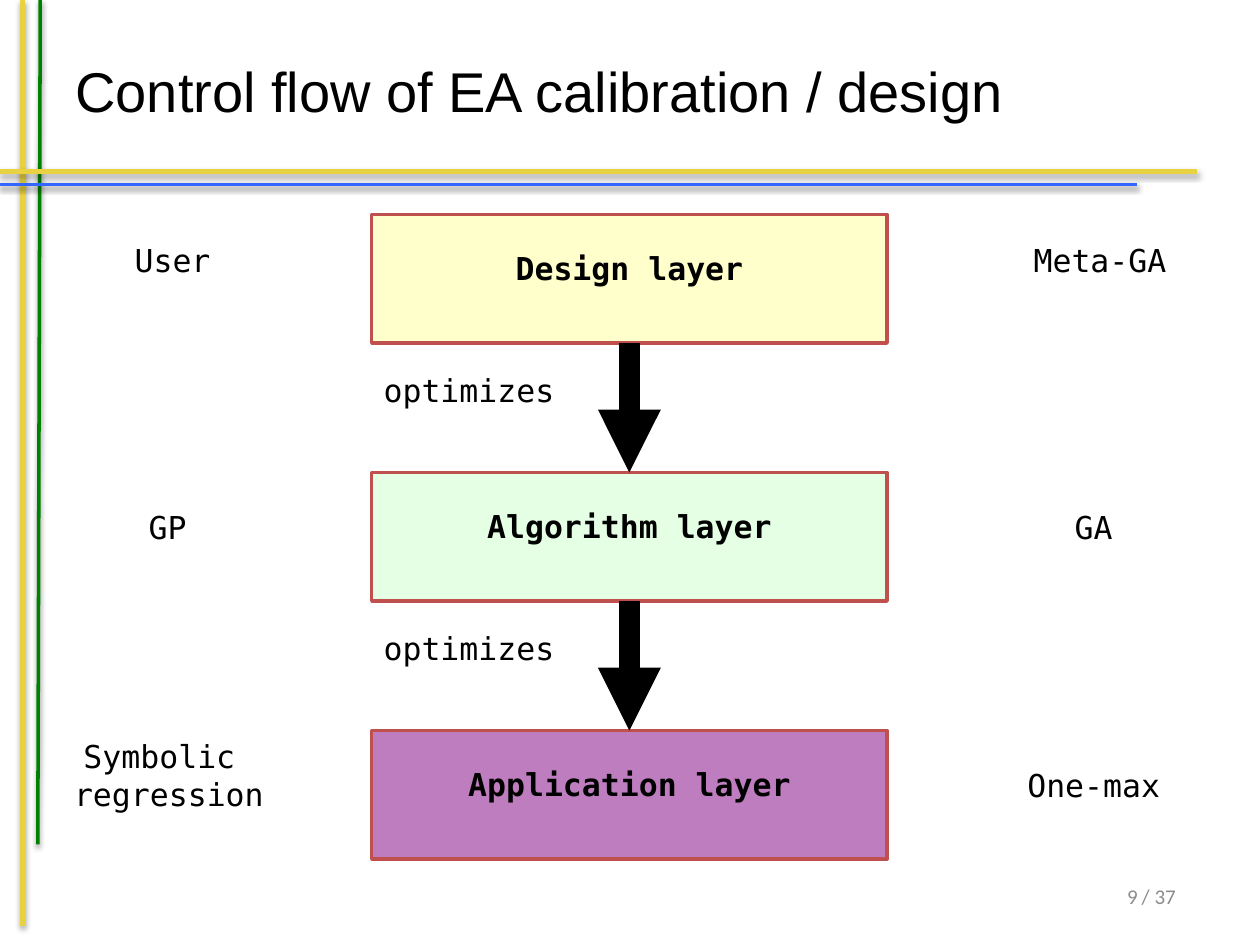
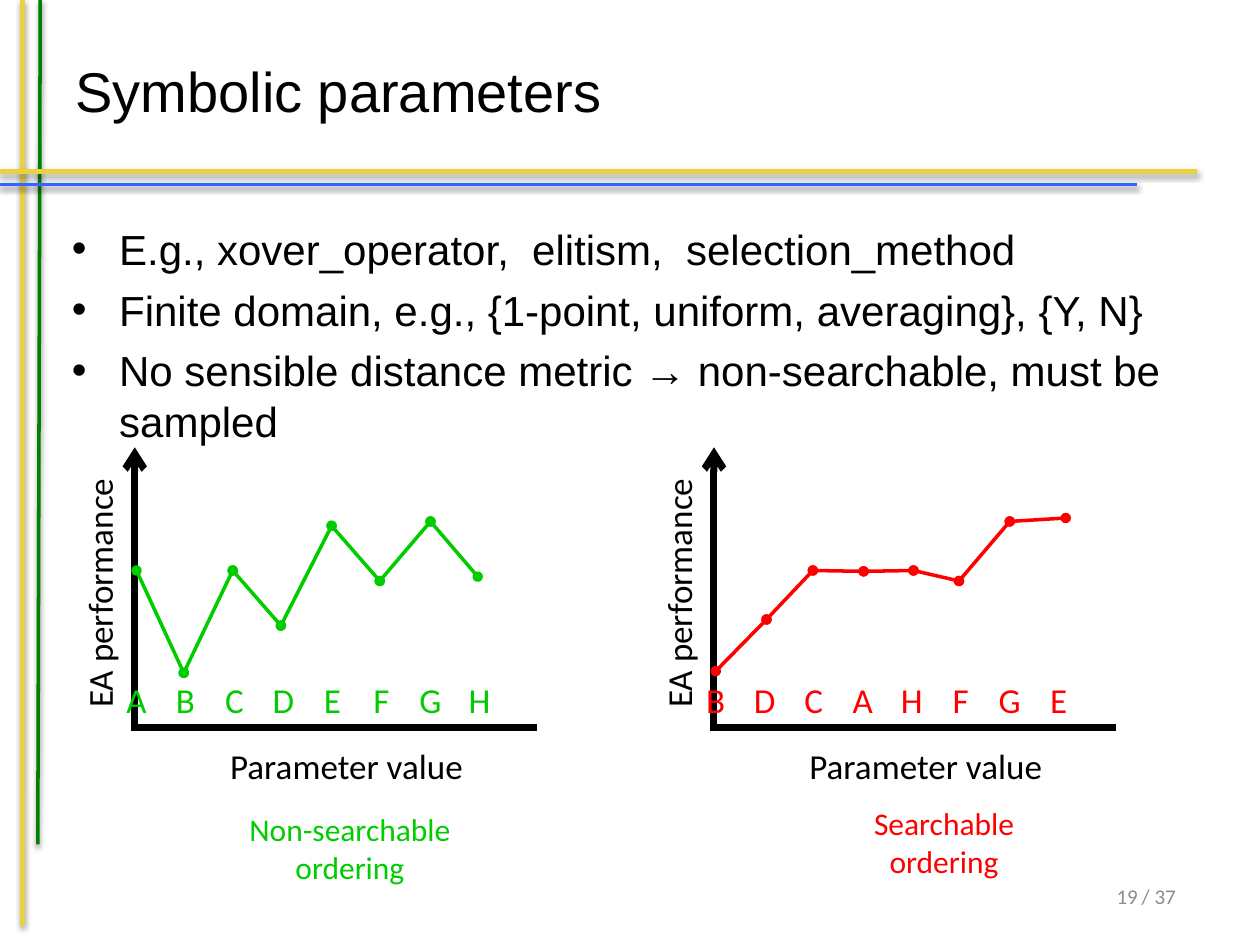
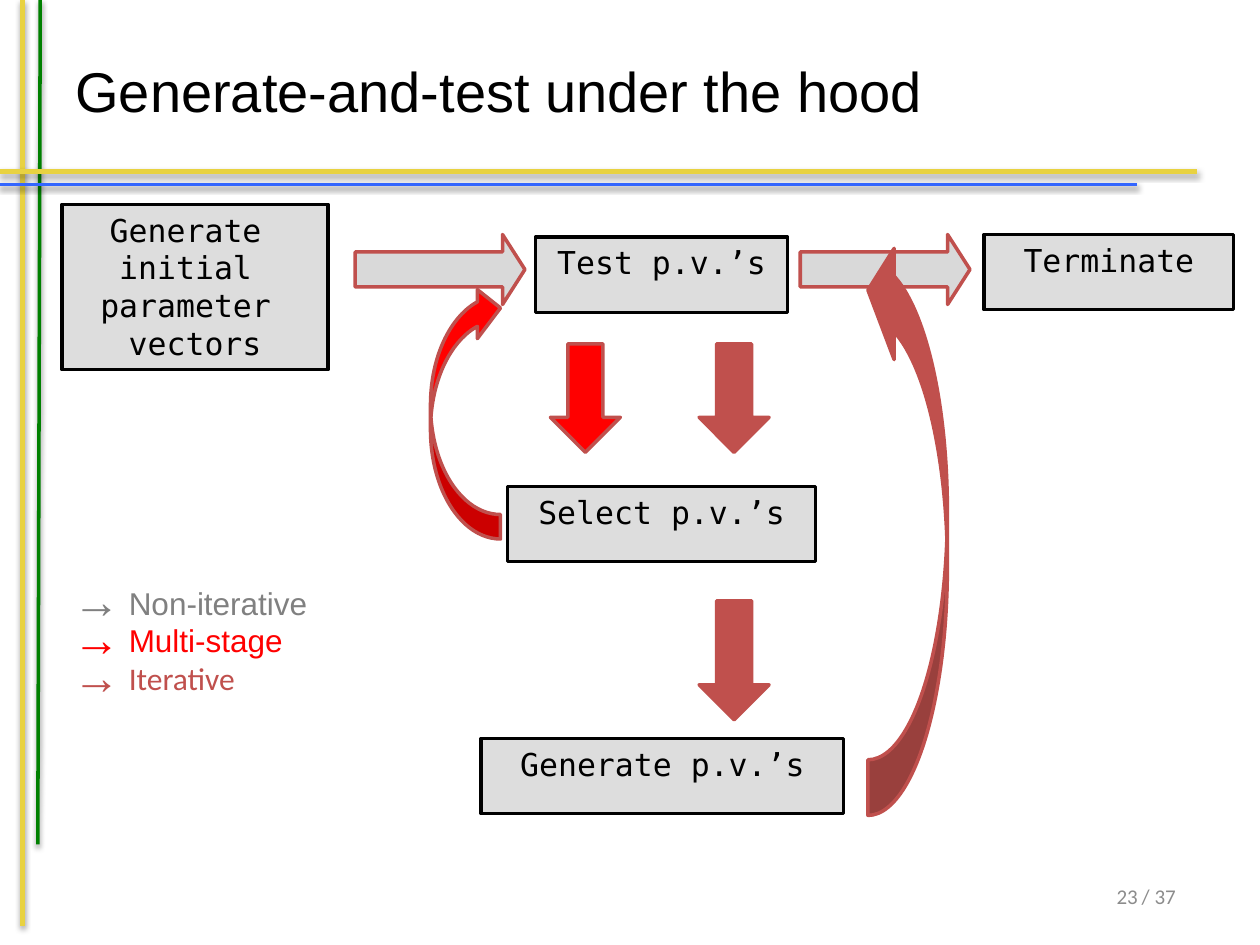
"""Build three slides on tuning evolutionary algorithms."""
from itertools import pairwise

from pptx import Presentation
from pptx.dml.color import RGBColor
from pptx.enum.shapes import MSO_CONNECTOR, MSO_SHAPE
from pptx.enum.text import MSO_ANCHOR, PP_ALIGN
from pptx.oxml.ns import qn
from pptx.util import Pt
from lxml import etree

STRAIGHT = MSO_CONNECTOR.STRAIGHT
RECTANGLE, DOWN, RIGHTWARD, CURVED = (
    MSO_SHAPE.RECTANGLE, MSO_SHAPE.DOWN_ARROW, MSO_SHAPE.RIGHT_ARROW, MSO_SHAPE.CURVED_RIGHT_ARROW)
TOP, MIDDLE = MSO_ANCHOR.TOP, MSO_ANCHOR.MIDDLE
LEFT, CENTER, RIGHT = PP_ALIGN.LEFT, PP_ALIGN.CENTER, PP_ALIGN.RIGHT
SIDE_TOP, SIDE_BOTTOM = 0, 2

SANS, BODY, MONO = "Arial", "Calibri", "DejaVu Sans Mono"
COLORS = {
    "black": "000000", "gold": "E8D241", "forest": "008000", "blue": "3366FF",
    "number": "8C8C8C", "brick": "C0504D", "purple": "800080", "mint": "CCFFCC",
    "cream": "FFFF99", "green": "00CC00", "red": "FF0000", "box": "DDDDDD",
    "pale": "D9D9D9", "grey": "808080",
}

SLIDE_COUNT = 37
BANDS = [
    ((13, 0), (13, 529), "gold", 3),
    ((23, 0), (21.6, 482.5), "forest", 2),
    ((0, 98), (684, 98), "gold", 3),
    ((0, 105.5), (650, 105.5), "blue", 2),
]

LAYERS = [("Design layer", "cream", 50), ("Algorithm layer", "mint", 50),
          ("Application layer", "purple", 51)]
LAYER_LEFT, LAYER_TOP, LAYER_WIDTH, LAYER_HEIGHT, LAYER_STEP = 212.4, 122.5, 294.5, 73.5, 147.5
SIDE_LABELS = [
    (["User"], 98.6, 134), (["GP"], 95.8, 287), (["Symbolic ", "regression"], 96.5, 417.5),
    (["Meta-GA"], 628.6, 134), (["GA"], 625, 287), (["One-max"], 625, 434),
]

PARAMETER_POINTS = [
    "E.g., xover_operator,  elitism,  selection_method",
    "Finite domain, e.g., {1-point, uniform, averaging}, {Y, N}",
    "No sensible distance metric → non-searchable, must be sampled",
]
ORDERINGS = [
    {"caption": "Non-searchable ordering", "color": "green", "axis": 77, "caption_at": (200, 459.5),
     "values": "ABCDEFGH",
     "curve": [(78, 326), (105, 384.5), (133, 326), (160.5, 357.5), (189.5, 300.5),
               (217, 332), (246, 298), (273, 329.5)]},
    {"caption": "Searchable ordering", "color": "red", "axis": 408, "caption_at": (539.5, 456),
     "values": "BDCAHFGE",
     "curve": [(409, 383.5), (438, 354), (464.5, 326), (493.5, 326.5), (522, 326),
               (548, 332), (577, 298), (609, 296)]},
]
VALUE_STEP = 28

STEPS = [
    (["Generate ", "initial ", "parameter ", "vectors"], (35.5, 116.8, 152, 94.5)),
    (["Generate p.v.’s"], (275, 422, 207, 43)),
    (["Test p.v.’s"], (306, 135.5, 144, 43)),
    (["Select p.v.’s"], (290, 278, 176, 43)),
    (["Terminate"], (562.3, 134, 142.7, 43)),
]
FLOWS = [
    (DOWN, (399.5, 196.5, 40, 62), "brick", (0.5, 0.5), ""),
    (DOWN, (399.5, 343.3, 40, 68), "brick", (0.5, 0.5), ""),
    (RIGHTWARD, (203, 134, 97, 40), "pale", (0.5, 0.32), ""),
    (CURVED, (246, 162, 40, 146), "red", (0.35, 0.7, 0.33), "V"),
    (DOWN, (314.5, 196.5, 40, 62), "red", (0.5, 0.5), ""),
    (RIGHTWARD, (457.3, 134, 97, 40), "pale", (0.5, 0.32), ""),
    (CURVED, (496, 134, 45.4, 332), "brick", (0.7, 1.4, 0.33), "HV"),
]
LEGEND = [("Non-iterative", "grey", SANS), ("Multi-stage", "red", SANS),
          ("Iterative", "brick", BODY)]


def rgb(color):
    return RGBColor.from_string(COLORS[color])


def add_child(parent, tag, **attributes):
    return etree.SubElement(parent, qn(tag), attributes)


def write(shape, lines, size, font, color="black", bold=False, align=CENTER, anchor=TOP,
          wrap=False):
    frame = shape.text_frame
    frame.word_wrap = wrap
    frame.vertical_anchor = anchor
    for index, line in enumerate(lines):
        paragraph = frame.add_paragraph() if index else frame.paragraphs[0]
        paragraph.alignment = align
        run = paragraph.add_run()
        run.text = line
        run.font.size, run.font.name, run.font.bold = Pt(size), font, bold
        run.font.color.rgb = rgb(color)
    return frame


def add_text(slide, box, lines, size, font, **style):
    label = slide.shapes.add_textbox(*map(Pt, box))
    write(label, lines, size, font, **style)
    return label


def add_centered(slide, center, top, lines, size, font, **style):
    return add_text(slide, (center - 80, top, 160, 32), lines, size, font, **style)


def add_bullet(paragraph, char, indent, size=100):
    properties = paragraph._p.get_or_add_pPr()
    properties.set("marL", str(Pt(indent)))
    properties.set("indent", str(-Pt(indent)))
    add_child(properties, "a:buSzPct", val=str(size * 1000))
    add_child(properties, "a:buFont", typeface=SANS)
    add_child(properties, "a:buChar", char=char)


def add_line(slide, start, end, color, width, head=None, tail=None, shadow=False):
    line = slide.shapes.add_connector(STRAIGHT, *map(Pt, (*start, *end)))
    line.line.color.rgb = rgb(color)
    line.line.width = Pt(width)
    outline = line.line._get_or_add_ln()
    for tag, kind in (("a:headEnd", head), ("a:tailEnd", tail)):
        if kind:
            add_child(outline, tag, type=kind)
    effects = add_child(line._element.spPr, "a:effectLst")
    if shadow:
        cast = add_child(effects, "a:outerShdw", blurRad=str(Pt(3.1)), dist=str(Pt(1.6)),
                         dir="5400000", rotWithShape="0")
        add_child(add_child(cast, "a:srgbClr", val=COLORS["black"]), "a:alpha", val="38000")
    return line


def add_outlined(slide, kind, box, fill, outline, opacity=100):
    shape = slide.shapes.add_shape(kind, *map(Pt, box))
    shape.shadow.inherit = False
    shape.fill.solid()
    shape.fill.fore_color.rgb = rgb(fill)
    shape.line.color.rgb = rgb(outline)
    shape.line.width = Pt(2)
    if opacity < 100:
        tint = shape._element.spPr.find(qn("a:solidFill") + "/" + qn("a:srgbClr"))
        add_child(tint, "a:alpha", val=str(opacity * 1000))
    return shape


def add_slide(deck, title, number):
    slide = deck.slides.add_slide(deck.slide_layouts[6])
    for start, end, color, width in BANDS:
        add_line(slide, start, end, color, width, shadow=True)
    for box, label in (((607, 492.5, 72, 39.5), f"/ {SLIDE_COUNT}"),
                       ((612.7, 492.5, 44.6, 39.5), str(number))):
        add_text(slide, box, [label], 12, BODY, color="number", align=RIGHT, anchor=MIDDLE)
    add_text(slide, (36, 6.5, 648, 90), [title], 32, SANS, align=LEFT, anchor=MIDDLE, wrap=True)
    return slide


def build_control_flow(deck):
    slide = add_slide(deck, "Control flow of EA calibration / design", 9)
    layers = []
    for index, (name, color, opacity) in enumerate(LAYERS):
        top = LAYER_TOP + index * LAYER_STEP
        layer = add_outlined(slide, RECTANGLE, (LAYER_LEFT, top, LAYER_WIDTH, LAYER_HEIGHT),
                             color, "brick", opacity)
        write(layer, [name], 18, MONO, bold=True).margin_top = Pt(19.5)
        layers.append(layer)
    middle = LAYER_LEFT + LAYER_WIDTH / 2
    for index, (upper, lower) in enumerate(pairwise(layers)):
        top = LAYER_TOP + index * LAYER_STEP
        arrow = add_line(slide, (middle, top + LAYER_HEIGHT), (middle, top + LAYER_STEP),
                         "black", 12, tail="triangle")
        arrow.begin_connect(upper, SIDE_BOTTOM)
        arrow.end_connect(lower, SIDE_TOP)
        add_centered(slide, 268, top + 85.7, ["optimizes"], 18, MONO)
    for lines, center, top in SIDE_LABELS:
        add_centered(slide, center, top, lines, 18, MONO)


def build_symbolic_parameters(deck):
    slide = add_slide(deck, "Symbolic parameters", 19)
    points = add_text(slide, (34, 124, 686, 324), PARAMETER_POINTS, 24, SANS, align=LEFT, wrap=True)
    for index, paragraph in enumerate(points.text_frame.paragraphs):
        add_bullet(paragraph, "•", 27)
        if index:
            paragraph.space_before = Pt(6)
    for ordering in ORDERINGS:
        axis, color = ordering["axis"], ordering["color"]
        add_line(slide, (axis, 255.6), (axis, 418), "black", 4, head="arrow")
        add_line(slide, (axis + 230, 416), (axis - 1.5, 416), "black", 4)
        add_centered(slide, axis + 121, 422, ["Parameter value"], 20, BODY)
        add_centered(slide, axis - 20, 323, ["EA performance"], 20, BODY).rotation = 270
        for start, end in pairwise(ordering["curve"]):
            add_line(slide, start, end, color, 2, head="oval", tail="oval")
        for index, value in enumerate(ordering["values"]):
            add_text(slide, (axis - 15 + index * VALUE_STEP, 384, 32, 32), [value], 20, BODY,
                     color=color, wrap=True)
        add_centered(slide, *ordering["caption_at"], [ordering["caption"]], 18, BODY, color=color)


def build_generate_and_test(deck):
    slide = add_slide(deck, "Generate-and-test under the hood", 23)
    for lines, box in STEPS:
        write(add_outlined(slide, RECTANGLE, box, "box", "black"), lines, 18, MONO)
    for kind, box, color, adjustments, flips in FLOWS:
        flow = add_outlined(slide, kind, box, color, "brick")
        for index, value in enumerate(adjustments):
            flow.adjustments[index] = value
        for axis in flips:
            flow._element.spPr.find(qn("a:xfrm")).set("flip" + axis, "1")
    legend = add_text(slide, (34.5, 330, 284, 94), [name for name, _, _ in LEGEND], 18, SANS,
                      align=LEFT, wrap=True)
    for paragraph, (_, color, font) in zip(legend.text_frame.paragraphs, LEGEND):
        add_bullet(paragraph, "→", 32, 150)
        paragraph.runs[0].font.name = font
        paragraph.runs[0].font.color.rgb = rgb(color)


def main():
    deck = Presentation()
    deck.slide_width, deck.slide_height = Pt(720), Pt(540)
    build_control_flow(deck)
    build_symbolic_parameters(deck)
    build_generate_and_test(deck)
    deck.save("out.pptx")


if __name__ == "__main__":
    main()
